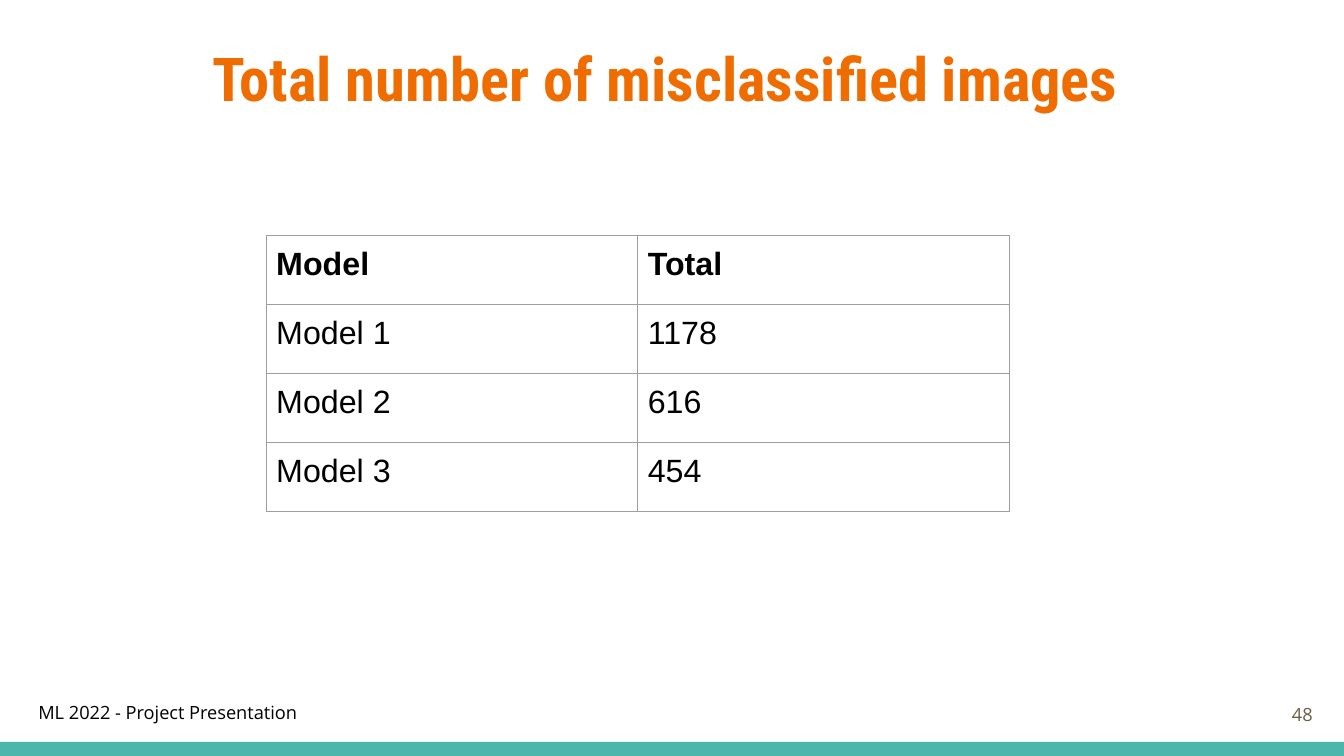
from dataclasses import dataclass

import pptx
import pptx.dml.color
import pptx.enum.shapes
import pptx.enum.text
import pptx.oxml
import pptx.oxml.ns
import pptx.util

ALIGN = pptx.enum.text.PP_ALIGN
ANCHOR = pptx.enum.text.MSO_ANCHOR


@dataclass(frozen=True)
class Style:
    font: str
    size: float
    color: str
    bold: bool = False


@dataclass(frozen=True)
class Theme:
    title: Style = Style("Roboto Condensed", 43.2, "EF6C00", True)
    header: Style = Style("Arial", 23, "000000", True)
    body: Style = Style("Arial", 23, "000000")
    footer: Style = Style("Open Sans", 13, "000000")
    number: Style = Style("Open Sans", 13, "695D46")
    bar: str = "4DB6AC"
    border: str = "9E9E9E"
    border_width: float = 0.75
    text_inset: float = 0.13
    cell_inset: float = 0.1


THEME = Theme()
WIDTH = pptx.util.Inches(13.33)
HEIGHT = pptx.util.Inches(7.5)

RESULTS = [
    ("Model", "Total"),
    ("Model 1", "1178"),
    ("Model 2", "616"),
    ("Model 3", "454"),
]


def area(left, top, width, height):
    """Turn percentages of the slide into lengths."""
    shares = ((left, WIDTH), (top, HEIGHT), (width, WIDTH), (height, HEIGHT))
    return [round(share * full / 100) for share, full in shares]


def rgb(value):
    return pptx.dml.color.RGBColor.from_string(value)


def set_insets(target, inches):
    for side in ("left", "top", "right", "bottom"):
        setattr(target, f"margin_{side}", pptx.util.Inches(inches))


def add_run(p, text, style):
    r = p.add_run()
    r.text = text
    r.font.name = style.font
    r.font.size = pptx.util.Pt(style.size)
    r.font.bold = style.bold
    r.font.color.rgb = rgb(style.color)


def add_text(s, box, text, style, align=ALIGN.LEFT, anchor=ANCHOR.TOP):
    tf = s.shapes.add_textbox(*box).text_frame
    tf.word_wrap = True
    tf.vertical_anchor = anchor
    set_insets(tf, THEME.text_inset)
    p = tf.paragraphs[0]
    p.alignment = align
    add_run(p, text, style)


def add_bar(s, box):
    sp = s.shapes.add_shape(pptx.enum.shapes.MSO_SHAPE.RECTANGLE, *box)
    sp.shadow.inherit = False
    sp.fill.solid()
    sp.fill.fore_color.rgb = rgb(THEME.bar)
    sp.line.fill.background()


def set_borders(cell):
    tc_pr = cell._tc.get_or_add_tcPr()
    width = pptx.util.Pt(THEME.border_width)
    # Border lines come ahead of the fill in the cell properties
    for i, side in enumerate("LRTB"):
        tc_pr.insert(i, pptx.oxml.parse_xml(
            f'<a:ln{side} {pptx.oxml.ns.nsdecls("a")} w="{width}">'
            f'<a:solidFill><a:srgbClr val="{THEME.border}"/></a:solidFill>'
            f'</a:ln{side}>'))


def add_results_table(s, box, rows):
    table = s.shapes.add_table(len(rows), len(rows[0]), *box).table
    table.first_row = table.horz_banding = False
    for i, row in enumerate(rows):
        style = THEME.body if i else THEME.header
        for j, text in enumerate(row):
            cell = table.cell(i, j)
            cell.fill.background()
            set_borders(cell)
            set_insets(cell, THEME.cell_inset)
            add_run(cell.text_frame.paragraphs[0], text, style)


def main():
    prs = pptx.Presentation()
    prs.slide_width, prs.slide_height = WIDTH, HEIGHT
    s = prs.slides.add_slide(prs.slide_layouts[6])

    # Footer and bottom bar
    add_text(s, area(1.88, 91.33, 21.6, 6.53),
             "ML 2022 - Project Presentation", THEME.footer)
    add_bar(s, area(0, 98.13, 100, 1.87))

    # Title
    add_text(s, area(2.93, 3.73, 93.17, 11.33),
             "Total number of misclassified images", THEME.title, ALIGN.CENTER)

    # Misclassified images per model
    add_results_table(s, area(19.8, 31.2, 55.3, 36.5), RESULTS)

    # Slide number
    add_text(s, area(92.95, 90.67, 5.7, 7.6), "48", THEME.number,
             ALIGN.RIGHT, ANCHOR.MIDDLE)

    prs.save("out.pptx")


if __name__ == "__main__":
    main()
